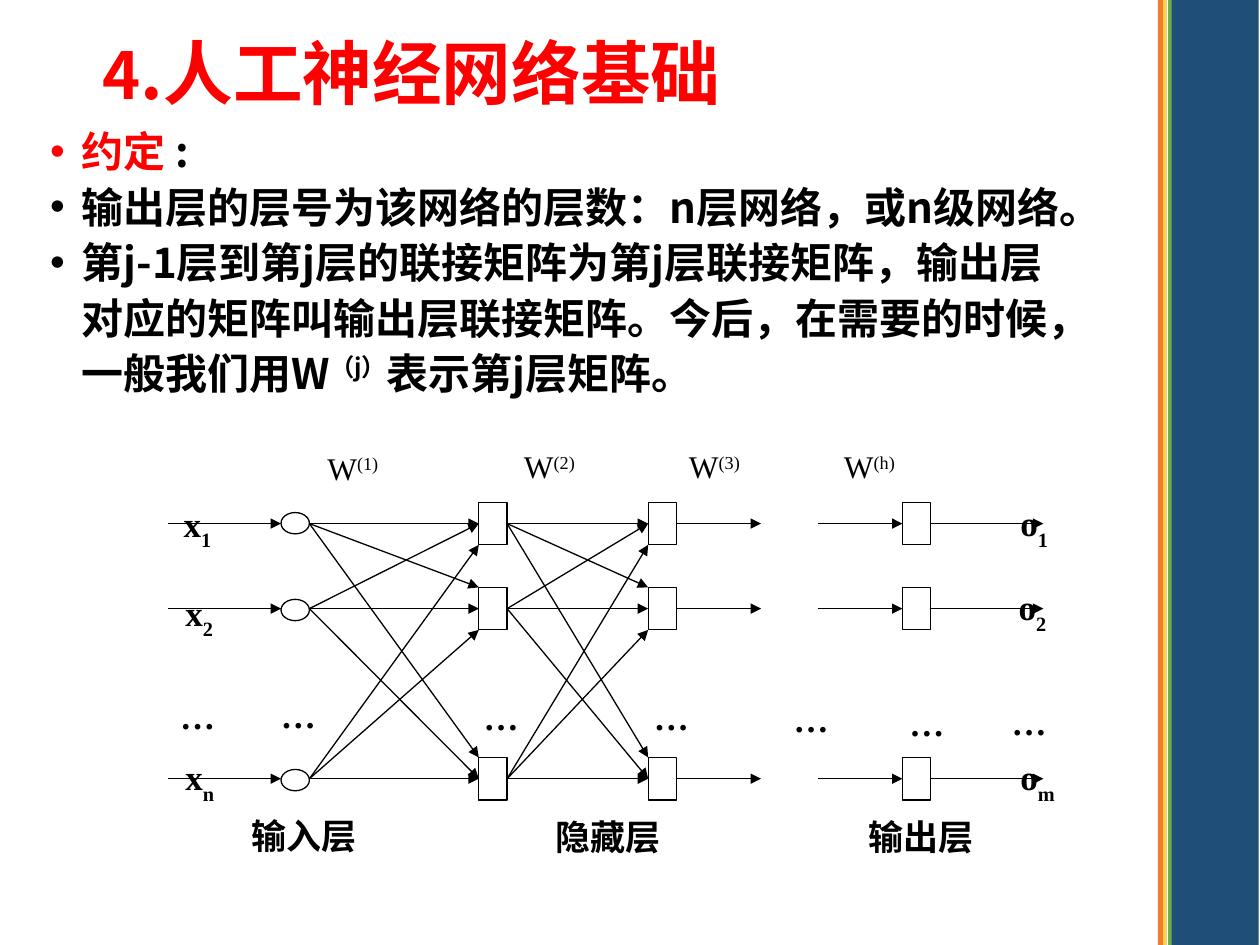
from lxml.etree import SubElement
from pptx import Presentation
from pptx.dml.color import RGBColor
from pptx.enum.shapes import MSO_CONNECTOR, MSO_SHAPE
from pptx.enum.text import MSO_ANCHOR, MSO_AUTO_SIZE
from pptx.oxml.ns import qn
from pptx.util import Pt

COLORS = {"black": "000000", "white": "FFFFFF", "red": "FF0000",
          "blue": "1F4E79", "orange": "ED7D31", "yellow": "FFD347",
          "green": "70AD47"}
CJK, SERIF = "Noto Sans CJK SC", "Times New Roman"

# Text formats
TITLE = {"name": CJK, "size": Pt(39.8), "bold": True}
BODY = {"name": CJK, "size": Pt(24), "bold": True}
LABEL = {"name": SERIF, "size": Pt(20), "bold": True}
WEIGHT = {"name": SERIF, "size": Pt(18), "bold": False}

# Network grid: row centres, node size, column left edges
ROWS = (299.2, 347.8, 445)
OVAL_ROWS = (299, 348.6, 445.8)
NODE_W, NODE_H, OVAL_H = 16.2, 24.3, 12.2
INPUT_X, HIDDEN_X, OUTPUT_X = 160.6, (273.6, 370.4), 515.7


def rgb(key):
    return RGBColor.from_string(COLORS[key])


def add_run(p, text, fmt, color="black", base=0):
    r = p.add_run()
    r.text = text
    for key, value in fmt.items():
        setattr(r.font, key, value)
    r.font.color.rgb = rgb(color)
    rPr = r._r.get_or_add_rPr()
    SubElement(rPr, qn("a:ea")).set("typeface", CJK)
    if base:
        rPr.set("baseline", str(base * 1000))


def add_text(s, x, y, w, h, wrap=True):
    tf = s.shapes.add_textbox(Pt(x), Pt(y), Pt(w), Pt(h)).text_frame
    settings = {"word_wrap": wrap, "vertical_anchor": MSO_ANCHOR.TOP,
                "auto_size": MSO_AUTO_SIZE.NONE}
    for key, value in settings.items():
        setattr(tf, key, value)
    return tf


def add_label(s, x, y, w, text, script="", base=-30, fmt=LABEL):
    p = add_text(s, x, y, w, 29.2, wrap=False).paragraphs[0]
    add_run(p, text, fmt)
    if script:
        add_run(p, script, fmt, base=base)


def add_box(s, kind, x, y, w, h, fill, line=None):
    sp = s.shapes.add_shape(kind, Pt(x), Pt(y), Pt(w), Pt(h))
    sp.shadow.inherit = False
    sp.fill.solid()
    sp.fill.fore_color.rgb = rgb(fill)
    if line:
        sp.line.color.rgb = rgb(line)
        sp.line.width = Pt(0.75)
    else:
        sp.line.fill.background()


def add_arrow(s, x1, y1, x2, y2):
    c = s.shapes.add_connector(MSO_CONNECTOR.STRAIGHT,
                               Pt(x1), Pt(y1), Pt(x2), Pt(y2))
    c.line.color.rgb = rgb("black")
    c.line.width = Pt(0.75)
    SubElement(c.line._get_or_add_ln(), qn("a:tailEnd")).set("type", "triangle")
    SubElement(c._element.spPr, qn("a:effectLst"))


def add_bullets(s, items):
    tf = add_text(s, 21.6, 65.5, 595.4, 183.6)
    for i, runs in enumerate(items):
        p = tf.paragraphs[0] if i == 0 else tf.add_paragraph()
        p.line_spacing = 1.1
        pPr = p._p.get_or_add_pPr()
        pPr.set("marL", str(Pt(18)))
        pPr.set("indent", str(-Pt(18)))
        SubElement(pPr, qn("a:buFont")).set("typeface", "Arial")
        SubElement(pPr, qn("a:buChar")).set("char", "•")
        for text, color, base in runs:
            add_run(p, text, BODY, color, base)


def connect_layers(s, x1, x2):
    """Join every node of one layer to every node of the next."""
    for i, y1 in enumerate(ROWS):
        for j, y2 in enumerate(ROWS):
            # Outer rows reach the near edge of nodes in other rows
            shift = 0 if i == j else (i - 1) * NODE_H / 2
            add_arrow(s, x1, y1, x2, y2 + shift)


def add_network(s):
    # Nodes
    for y, oval_y in zip(ROWS, OVAL_ROWS):
        add_box(s, MSO_SHAPE.OVAL, INPUT_X, oval_y - OVAL_H / 2,
                NODE_W, OVAL_H, "white", "black")
        for x in (*HIDDEN_X, OUTPUT_X):
            add_box(s, MSO_SHAPE.RECTANGLE, x, y - NODE_H / 2,
                    NODE_W, NODE_H, "white", "black")
    # Straight arrows into, between and out of the layers
    first, second = HIDDEN_X
    for y in ROWS:
        for x1, x2 in ((95.8, INPUT_X), (second + NODE_W, 434.9),
                       (467.3, OUTPUT_X), (OUTPUT_X + NODE_W, 596.2)):
            add_arrow(s, x1, y, x2, y)
    # Full connections
    connect_layers(s, INPUT_X + NODE_W, first)
    connect_layers(s, first + NODE_W, second)


def add_network_labels(s):
    # Inputs and outputs
    for x, y, w, text, script in (
            (97.9, 283.4, 31, "x", "1"), (98.9, 334.4, 31, "x", "2"),
            (98.9, 428.4, 31.7, "x", "n"), (576, 283.2, 31, "o", "1"),
            (575, 331.2, 31, "o", "2"), (576, 428.4, 35.3, "o", "m")):
        add_label(s, x, y, w, text, script)
    # Ellipses between rows
    for x, y in ((95.8, 393.1), (153.4, 393), (269.3, 393.8), (366.5, 393.8),
                 (446.4, 395.3), (512.6, 397.4), (571, 396.7)):
        add_label(s, x, y, 34.6, "…")
    # Layer names
    for x, y, text in ((136.8, 461.8, "输入层"), (310.3, 462.6, "隐藏层"),
                       (489.3, 462.6, "输出层")):
        add_label(s, x, y, 74.9, text)
    # Weight matrices
    for x, y, n in ((180, 252.9, "1"), (292.3, 252, "2"),
                    (386.6, 252, "3"), (475.2, 252, "h")):
        add_label(s, x, y, 53.3, "W", f"({n})", 30, WEIGHT)


def add_side_bars(s):
    for x, w, fill in ((664.6, 54.7, "blue"), (661.7, 2.9, "orange"),
                       (664.6, 2.2, "yellow"), (666.7, 2.9, "green"),
                       (666.7, 0.7, "white")):
        add_box(s, MSO_SHAPE.RECTANGLE, x, 0, w, 540, fill)


def main():
    prs = Presentation()
    prs.slide_width, prs.slide_height = Pt(720), Pt(540)
    s = prs.slides.add_slide(prs.slide_layouts[6])

    # Title
    p = add_text(s, 51.5, 26.6, 452.2, 43.9).paragraphs[0]
    p.line_spacing = 0.7
    add_run(p, "4", {**TITLE, "size": Pt(37)}, "red")
    add_run(p, ".人工神经网络基础", TITLE, "red")

    # Conventions
    add_bullets(s, (
        (("约定 ", "red", 0), (":", "black", 0)),
        (("输出层的层号为该网络的层数：n层网络，或n级网络。", "black", 0),),
        (("第j-1层到第j层的联接矩阵为第j层联接矩阵，输出层对应的矩阵叫"
          "输出层联接矩阵。今后，在需要的时候，一般我们用W", "black", 0),
         ("（j）", "black", 30), ("表示第j层矩阵。", "black", 0))))

    # Network diagram and decoration
    add_network(s)
    add_network_labels(s)
    add_side_bars(s)
    prs.save("out.pptx")


if __name__ == "__main__":
    main()
